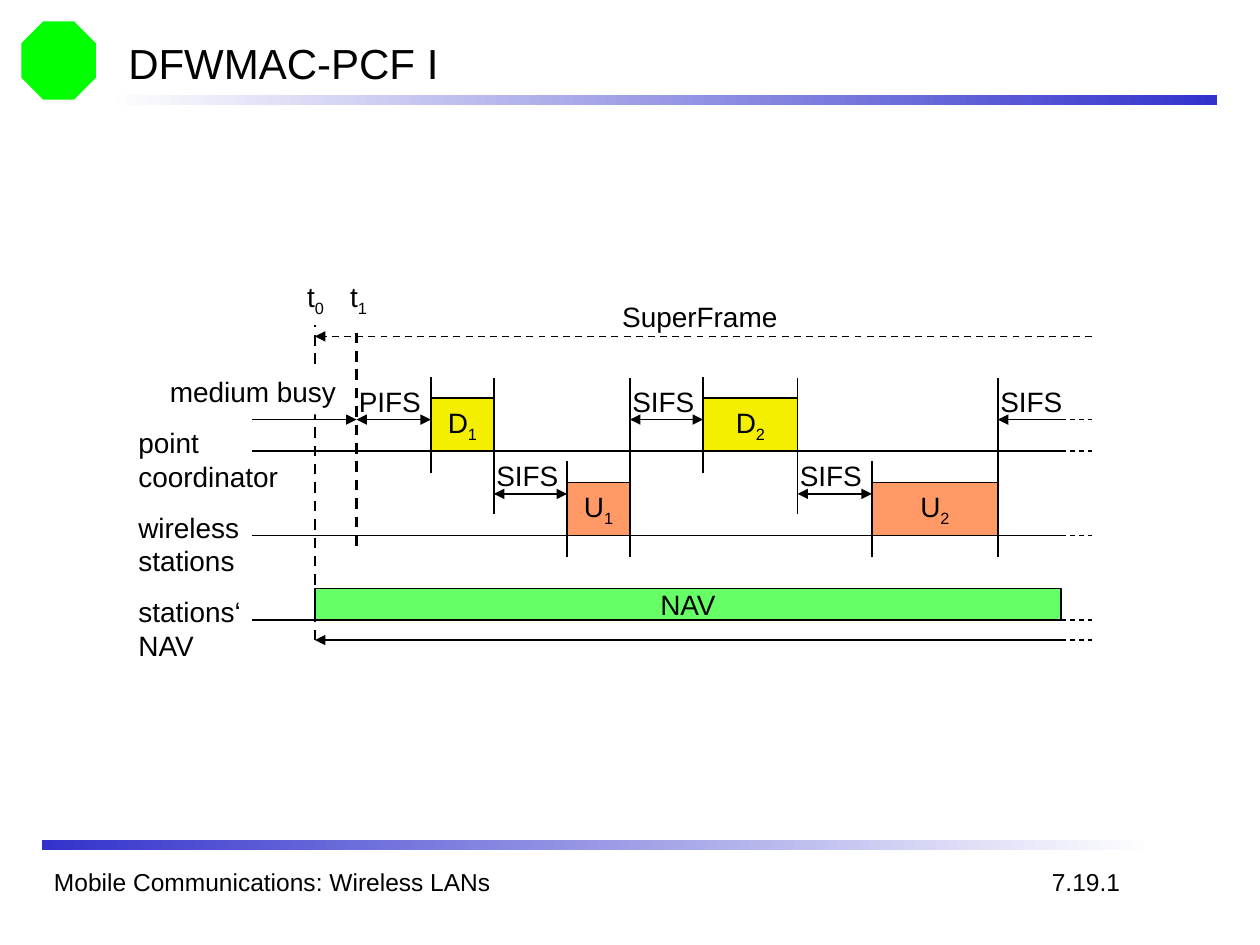
from lxml.etree import SubElement
from pptx import Presentation
from pptx.dml.color import RGBColor
from pptx.enum.dml import MSO_LINE
from pptx.enum.shapes import MSO_CONNECTOR, MSO_SHAPE
from pptx.enum.text import MSO_ANCHOR, PP_ALIGN
from pptx.oxml.ns import qn
from pptx.util import Inches, Pt

BLACK, WHITE, BLUE = "000000", "FFFFFF", "3333CC"
YELLOW, ORANGE, GREEN = "F4EE00", "FF9966", "66FF66"

# Time axis positions (x) and row baselines (y)
AXIS_START, T0, T1, SOLID_END, DASH_END = 2, 2.5, 2.83, 8.42, 8.67
POINT_ROW, STATION_ROW, NAV_ROW = 3.58, 4.25, 4.92
FRAME_HEIGHT, OVERHANG = 0.42, 0.17
GAP_RISE = 0.25 + 0.08  # gap arrows and labels relative to a baseline
EDGE_TOP = 3
UPPER_GAP, LOWER_GAP, NAV_ARROW = 3.33, 3.92, 5.08

# Frames: letter, index, start, end, baseline, fill, foot of the closing edge
FRAMES = [
    ("D", "1", 3.42, 3.92, POINT_ROW, YELLOW, 4.08),
    ("U", "1", 4.5, 5, STATION_ROW, ORANGE, 4.42),
    ("D", "2", 5.58, 6.33, POINT_ROW, YELLOW, 4.08),
    ("U", "2", 6.92, 7.92, STATION_ROW, ORANGE, 4.42),
]
# Gaps between frames: name, start, end, height
GAPS = [
    ("PIFS", T1, 3.42, UPPER_GAP),
    ("SIFS", 3.92, 4.5, LOWER_GAP),
    ("SIFS", 5, 5.58, UPPER_GAP),
    ("SIFS", 6.33, 6.92, LOWER_GAP),
    ("SIFS", 7.92, SOLID_END, UPPER_GAP),
]
ROW_LABELS = [
    (("point", "coordinator"), POINT_ROW, 1.31),
    (("wireless", "stations"), STATION_ROW, 1),
    (("stations‘", "NAV"), NAV_ROW, 1.01),
]
# Single labels: text, index, left, top, width, height, size
LABELS = [
    ("SuperFrame", "", 4.84, 2.33, 1.43, 0.37, 16),
    ("t", "0", 2.34, 2.17, 0.33, 0.41, 16),
    ("t", "1", 2.68, 2.17, 0.33, 0.41, 16),
    ("Mobile Communications: Wireless LANs", "", 0.33, 6.83, 6.75, 0.33, 14),
    ("7.19.1", "", 8.25, 6.83, 0.74, 0.34, 14),
]
# Gradient rules: left, top, first colour, last colour
RULES = [(0.83, 0.75, WHITE, BLUE), (0.33, 6.67, BLUE, WHITE)]


def colour(value):
    return RGBColor.from_string(value)


def write(shape, lines, size=16, align=PP_ALIGN.LEFT, anchor=MSO_ANCHOR.TOP):
    """Each line is a list of (text, index) pairs; the index is a subscript."""
    frame = shape.text_frame
    frame.word_wrap = False
    frame.vertical_anchor = anchor
    for number, pairs in enumerate(lines):
        para = frame.add_paragraph() if number else frame.paragraphs[0]
        para.alignment = align
        for text, index in pairs:
            for part, lowered in ((text, False), (index, True)):
                if not part:
                    continue
                span = para.add_run()
                span.text = part
                span.font.name = "Arial"
                span.font.size = Pt(size)
                span.font.color.rgb = colour(BLACK)
                if lowered:
                    span.font._element.set("baseline", "-25000")


def add_label(lines, left, top, width, height, size=16, anchor=MSO_ANCHOR.TOP):
    box = page.shapes.add_textbox(*map(Inches, (left, top, width, height)))
    write(box, lines, size, anchor=anchor)


def add_block(left, top, width, height, fill, outlined=True, kind=MSO_SHAPE.RECTANGLE):
    block = page.shapes.add_shape(kind, *map(Inches, (left, top, width, height)))
    block.shadow.inherit = False
    block.fill.solid()
    block.fill.fore_color.rgb = colour(fill)
    if outlined:
        block.line.color.rgb = colour(BLACK)
        block.line.width = Pt(0.75)
    else:
        block.line.fill.background()
    return block


def add_line(x1, y1, x2, y2, width=0.75, dashed=False, head=False, tail=False):
    line = page.shapes.add_connector(
        MSO_CONNECTOR.STRAIGHT, *map(Inches, (x1, y1, x2, y2)))
    line.line.color.rgb = colour(BLACK)
    line.line.width = Pt(width)
    if dashed:
        line.line.dash_style = MSO_LINE.DASH
    for wanted, tag in ((head, "a:headEnd"), (tail, "a:tailEnd")):
        if wanted:
            SubElement(line.line._get_or_add_ln(), qn(tag), type="triangle")
    SubElement(line._element.spPr, qn("a:effectLst"))


deck = Presentation()
deck.slide_width, deck.slide_height = Inches(10), Inches(7.5)
page = deck.slides.add_slide(deck.slide_layouts[6])

# Plain emblem, gradient rules and title
add_block(0.17, 0.17, 0.59, 0.62, "00FF00", False, MSO_SHAPE.OCTAGON)
for left, top, first, last in RULES:
    rule = add_block(left, top, 8.83, 0.08, BLUE, False)
    rule.fill.gradient()
    rule.fill.gradient_angle = 0
    for stop, value in zip(rule.fill.gradient_stops, (first, last)):
        stop.color.rgb = colour(value)
add_label([[("DFWMAC-PCF I", "")]], 0.92, 0.25, 8.5, 0.5, 24, MSO_ANCHOR.MIDDLE)

# Baselines with their labels, and the dashed continuations
for words, row, width in ROW_LABELS:
    add_line(AXIS_START, row, SOLID_END, row)
    add_label([[(word, "")] for word in words], 1, row - 0.25, width, 0.64)
for y in (UPPER_GAP, POINT_ROW, STATION_ROW, NAV_ROW, NAV_ARROW):
    add_line(SOLID_END, y, DASH_END, y, dashed=True)

# Frames with opening and closing edges
for letter, index, start, end, row, fill, foot in FRAMES:
    top = row - FRAME_HEIGHT
    block = add_block(start, top, end - start, FRAME_HEIGHT, fill)
    write(block, [[(letter, index)]], align=PP_ALIGN.CENTER, anchor=MSO_ANCHOR.MIDDLE)
    add_line(start, row + OVERHANG, start, top - OVERHANG)
    add_line(end, foot, end, EDGE_TOP)

# NAV bar and its arrow
bar = add_block(T0, NAV_ROW - 0.25, SOLID_END - T0, 0.25, GREEN)
write(bar, [[("NAV", "")]], align=PP_ALIGN.CENTER, anchor=MSO_ANCHOR.MIDDLE)
add_line(SOLID_END, NAV_ARROW, T0, NAV_ARROW, tail=True)

# Start of the superframe, medium busy period, start of the contention-free time
add_line(T0, NAV_ARROW, T0, 2.58, 1.5, dashed=True)
add_line(DASH_END, 2.67, T0, 2.67, 1, dashed=True, tail=True)
add_line(AXIS_START, UPPER_GAP, T1, UPPER_GAP, tail=True)
busy = add_block(1.25, 2.92, 1.58, 0.37, WHITE, False)
write(busy, [[("medium busy", "")]])
add_line(T1, 4.33, T1, 2.58, 1.5, dashed=True)

# Interframe gaps; the last one runs on past the solid part
for name, start, end, y in GAPS:
    add_line(start, y, end, y, head=True, tail=end < SOLID_END)
    add_label([[(name, "")]], start - 0.08, y - GAP_RISE, 0.69, 0.37)

for text, index, left, top, width, height, size in LABELS:
    add_label([[(text, index)]], left, top, width, height, size)

deck.save("out.pptx")
